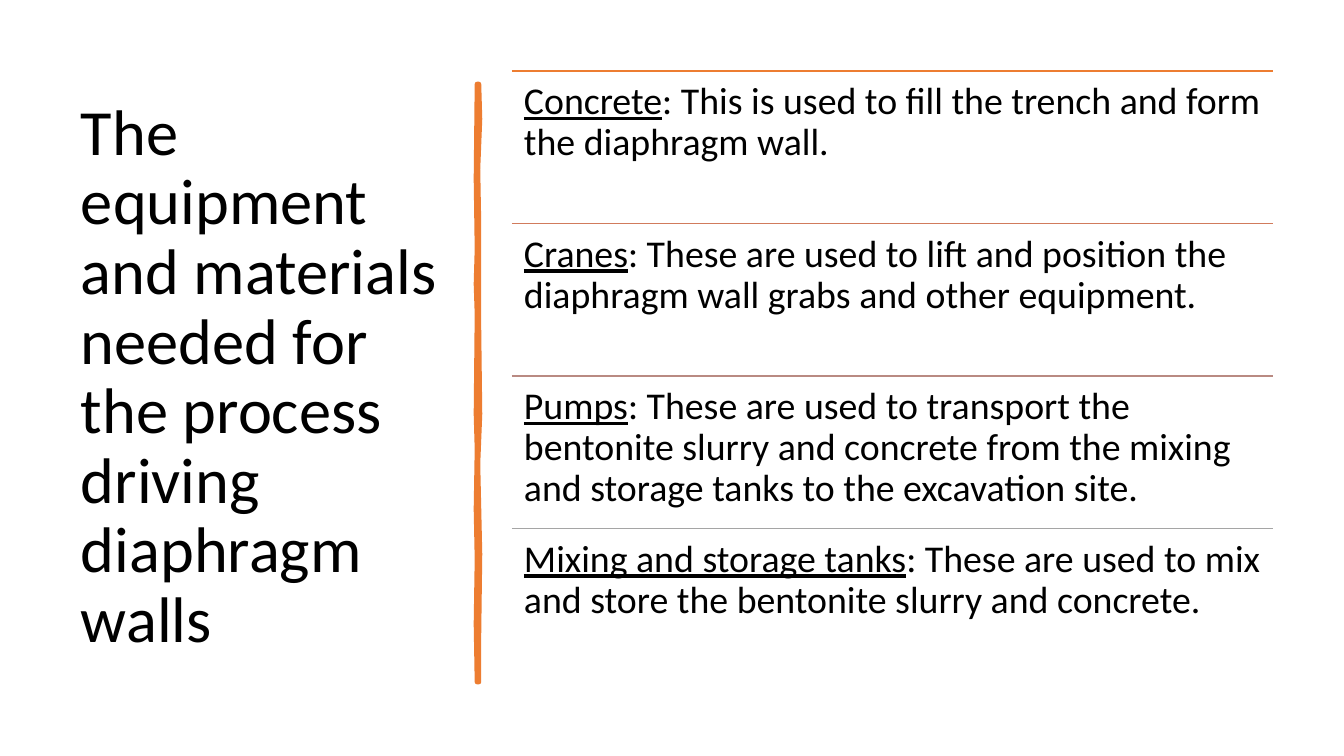
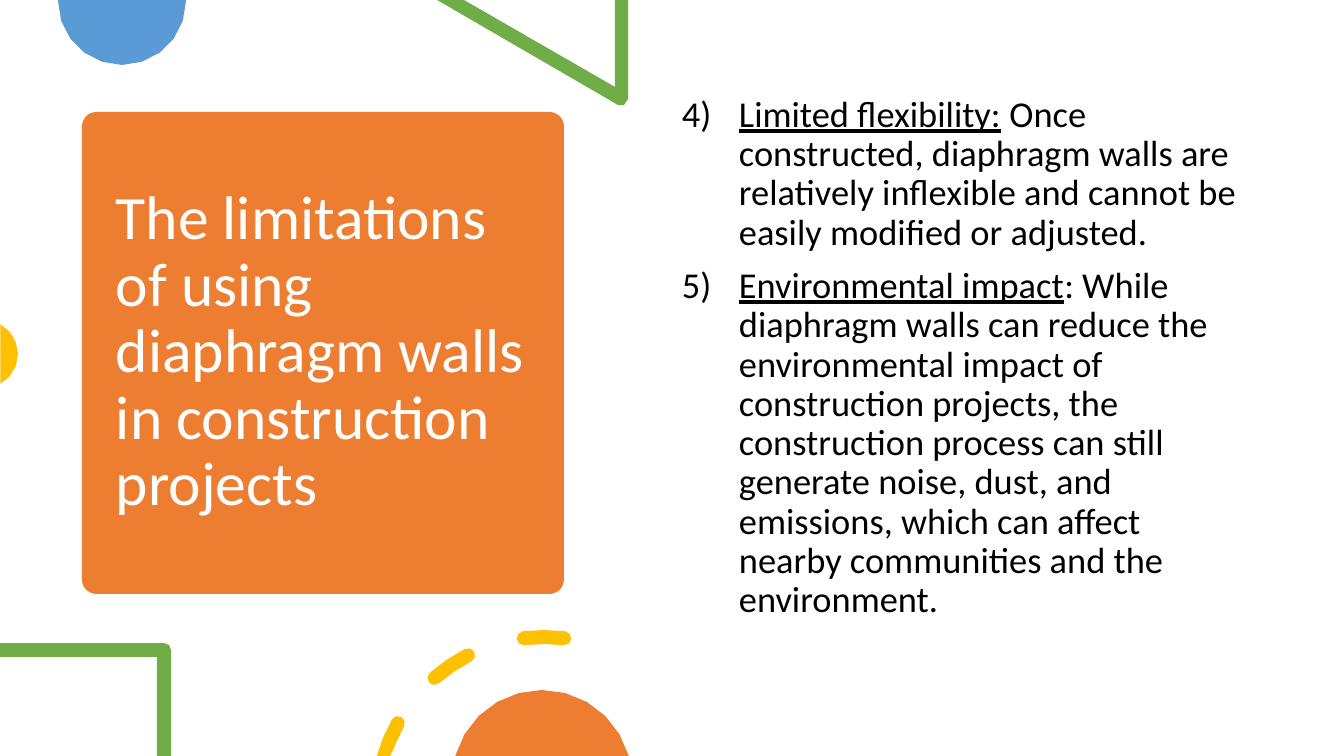
import math

import pptx
import pptx.dml.color
import pptx.enum.shapes
import pptx.enum.text
import pptx.oxml.ns
import pptx.util
from lxml import etree

PX = 914400 / 100.8
PAGE_WIDTH, PAGE_HEIGHT = 1344, 756
FONT = "Calibri"
COLORS = {
    "text": "000000",
    "light": "FFFFFF",
    "orange": "ED7D31",
    "blue": "5B9BD5",
    "green": "70AD47",
    "yellow": "FFC000",
    "clay": "D17B5C",
    "dusk": "B98A82",
    "gray": "A5A5A5",
}
MATERIALS = [
    ("orange", "Concrete", ": This is used to fill the trench and form the diaphragm wall."),
    ("clay", "Cranes", ": These are used to lift and position the diaphragm wall grabs and other equipment."),
    ("dusk", "Pumps", ": These are used to transport the bentonite slurry and concrete from the mixing and storage tanks to the excavation site."),
    ("gray", "Mixing and storage tanks", ": These are used to mix and store the bentonite slurry and concrete."),
]
LIMITATIONS = [
    ("Limited flexibility:", " Once constructed, diaphragm walls are relatively inflexible and cannot be easily modified or adjusted."),
    ("Environmental impact", ": While diaphragm walls can reduce the environmental impact of construction projects, the construction process can still generate noise, dust, and emissions, which can affect nearby communities and the environment."),
]
FIRST_NUMBER = 4
BAR_RIGHT = [(5, 0), (6, 35), (4, 85), (5, 140), (5, 245), (6, 330), (4, 380),
             (6, 470), (5, 550), (5, 598)]
BAR_LEFT = [(3, 598), (2, 540), (3, 475), (2, 425), (3, 365), (2, 330), (3, 230),
            (2, 200), (3, 165), (2, 95), (3, 0)]


def emu(length):
    return pptx.util.Emu(round(length * PX))


def color(name):
    return pptx.dml.color.RGBColor.from_string(COLORS[name])


def paint(shape, name, line_width=None):
    shape.shadow.inherit = False
    shape.fill.solid()
    shape.fill.fore_color.rgb = color(name)
    if line_width is None:
        shape.line.fill.background()
    else:
        shape.line.color.rgb = color(name)
        shape.line.width = pptx.util.Pt(line_width)


def add_outline(page, origin, contours, name, line_width=None):
    left, top = origin
    builder = None
    for points in contours:
        corners = [(emu(left + x), emu(top + y)) for x, y in points]
        if builder is None:
            builder = page.shapes.build_freeform(*corners[0], scale=1.0)
        else:
            builder.move_to(*corners[0])
        builder.add_line_segments(corners[1:], close=True)
    paint(builder.convert_to_shape(), name, line_width)


def arc(center, radius, start, end, steps):
    x, y = center
    angles = [math.radians(start + (end - start) * step / steps) for step in range(steps + 1)]
    return [(x + radius * math.cos(angle), y + radius * math.sin(angle)) for angle in angles]


def add_text_box(page, box, inset, anchor):
    frame = page.shapes.add_textbox(*map(emu, box)).text_frame
    frame.word_wrap = True
    frame.vertical_anchor = anchor
    frame.margin_left = frame.margin_right = emu(inset[0])
    frame.margin_top = frame.margin_bottom = emu(inset[1])
    return frame


def write_paragraph(para, size, name, text, term=None):
    para.line_spacing = 0.9
    para.font.name = FONT
    para.font.size = pptx.util.Pt(size)
    para.font.color.rgb = color(name)
    if term:
        span = para.add_run()
        span.text = term
        span.font.underline = True
    para.add_run().text = text


def add_title(page, box, text, size, name):
    frame = add_text_box(page, box, (10, 5), pptx.enum.text.MSO_ANCHOR.MIDDLE)
    write_paragraph(frame.paragraphs[0], size, name, text)


def number_paragraph(para):
    properties = para._p.get_or_add_pPr()
    properties.set("marL", str(emu(57)))
    properties.set("indent", str(-emu(57)))
    bullet = etree.Element(pptx.oxml.ns.qn("a:buAutoNum"), type="arabicParenR", startAt=str(FIRST_NUMBER))
    properties.insert_element_before(bullet, "a:tabLst", "a:defRPr", "a:extLst")


def add_rule(page, left, top, width, name):
    rule = page.shapes.add_connector(
        pptx.enum.shapes.MSO_CONNECTOR.STRAIGHT, emu(left), emu(top), emu(left + width), emu(top))
    rule.line.color.rgb = color(name)
    rule.line.width = pptx.util.Pt(1)
    etree.SubElement(rule._element.spPr, pptx.oxml.ns.qn("a:effectLst"))


def add_materials(page, box):
    left, top, width, height = box
    count = len(MATERIALS)
    for index, (name, term, text) in enumerate(MATERIALS):
        row_top = top + index * height / count
        add_rule(page, left, row_top, width, name)
        frame = add_text_box(page, (left, row_top, width, height / count), (11, 11),
                             pptx.enum.text.MSO_ANCHOR.TOP)
        frame.margin_left = emu(12)
        write_paragraph(frame.paragraphs[0], 27, "text", text, term)


def add_limitations(page, box):
    frame = add_text_box(page, box, (10, 5), pptx.enum.text.MSO_ANCHOR.TOP)
    for index, (term, text) in enumerate(LIMITATIONS):
        para = frame.add_paragraph() if index else frame.paragraphs[0]
        write_paragraph(para, 26, "text", text, term)
        para.space_before = pptx.util.Pt(10)
        number_paragraph(para)


def add_title_card(page, box, text):
    left, top, width, height = box
    card = page.shapes.add_shape(pptx.enum.shapes.MSO_SHAPE.ROUNDED_RECTANGLE, *map(emu, box))
    card.adjustments[0] = 0.03
    paint(card, "orange")
    add_title(page, (left + 24, top + 11, width - 48, height - 22), text, 44, "light")


def add_top_decoration(page, origin):
    left, top = origin
    disc = [(186, 0), *arc((122, 1), 64, 0, 180, 10), (58, 0)]
    triangle = [(191, 0), (178, 0), (178, 87), (27, 0), (0, 0), (181, 105), (187, 105), (191, 99)]
    add_outline(page, origin, [disc], "blue")
    add_outline(page, (left + 437, top), [triangle], "green")


def add_side_decoration(page, origin):
    add_outline(page, origin, [arc((-16, 30), 34, -61, 61, 6)], "yellow")


def dash(center, start, end, bottom):
    radius, half = 167, 7
    start_cap, end_cap = (arc(center, radius, angle, angle, 1)[0] for angle in (start, end))
    points = [
        *arc(center, radius + half, start, end, 2),
        *arc(end_cap, half, end, end + 180, 4)[1:-1],
        *arc(center, radius - half, end, start, 2),
    ]
    if start_cap[1] + half < bottom:
        points += arc(start_cap, half, start + 180, start + 360, 4)[1:-1]
    return [(x, min(y, bottom)) for x, y in points]


def add_bottom_decoration(page, box):
    left, top, width, height = box
    origin = (left, top)
    corner = [(0, 13), (164, 13), (169, 15), (171, 20), (171, height), (157, height), (157, 27), (0, 27)]
    dashes = [dash((544, 174), start, end, height) for start, end in [(196, 209), (229, 243), (263, 277)]]
    add_outline(page, origin, [corner], "green")
    add_outline(page, origin, dashes, "yellow")
    add_outline(page, origin, [arc((542, 150), 90, 195.5, 344.5, 10)], "orange")


def build_materials_slide(page):
    add_title(page, (71, 70, 376, 616),
              "The equipment and materials needed for the process driving diaphragm walls", 46, "text")
    add_outline(page, (474, 84), [BAR_RIGHT + BAR_LEFT], "orange", 3.25)
    add_materials(page, (512, 71, 761, 610))


def build_limitations_slide(page):
    add_title_card(page, (82, 112, 482, 482),
                   "The limitations of using diaphragm walls in construction projects")
    add_top_decoration(page, (0, 0))
    add_side_decoration(page, (0, 324))
    add_limitations(page, (672, 91, 580, 539))
    add_bottom_decoration(page, (0, 630, PAGE_WIDTH, PAGE_HEIGHT - 630))


def main():
    deck = pptx.Presentation()
    deck.slide_width, deck.slide_height = emu(PAGE_WIDTH), emu(PAGE_HEIGHT)
    for build in (build_materials_slide, build_limitations_slide):
        build(deck.slides.add_slide(deck.slide_layouts[6]))
    deck.save("out.pptx")


if __name__ == "__main__":
    main()
